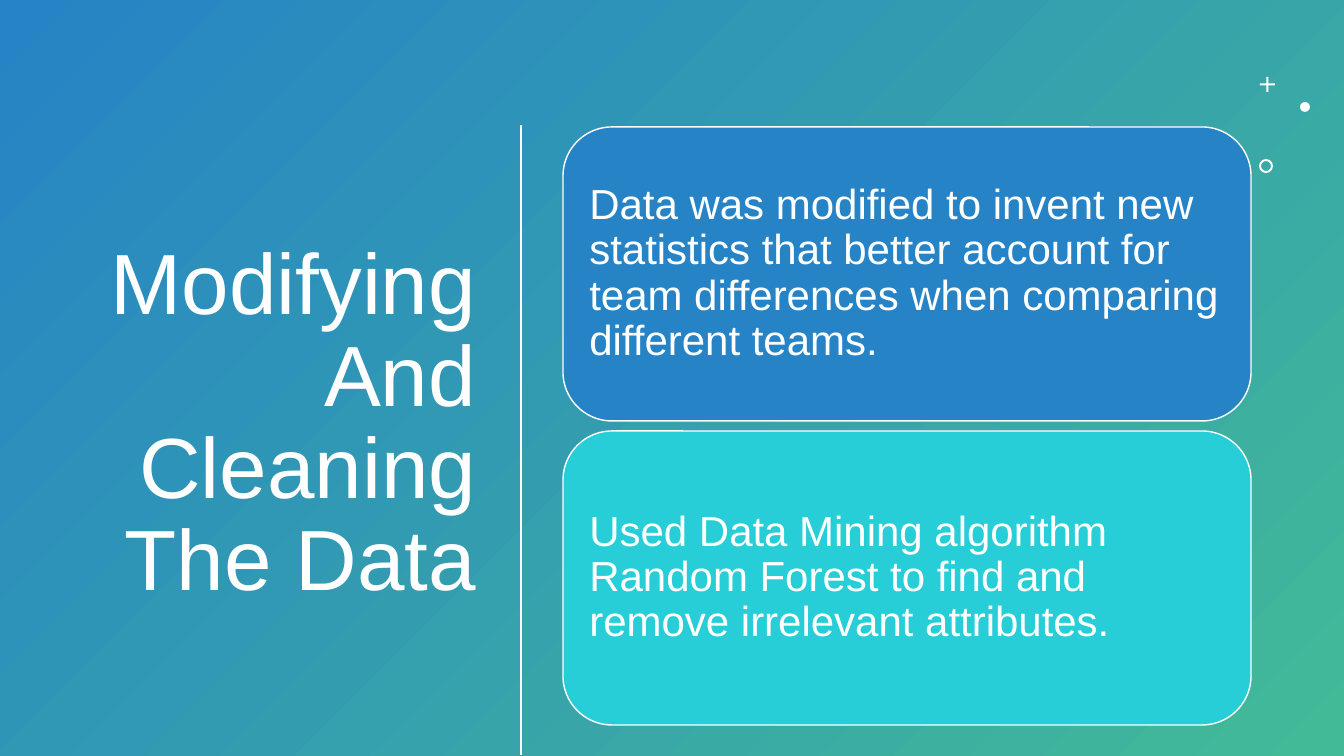
from dataclasses import dataclass

from lxml import etree
from pptx import Presentation
from pptx import util as u
from pptx.dml.color import RGBColor
from pptx.enum import shapes, text
from pptx.oxml.ns import qn

EMU_PER_PX = 914400 / 100.8
PAGE_WIDTH, PAGE_HEIGHT = 1344, 756
WHITE, BLUE, GREEN, TURQUOISE = "FFFFFF", "2683C6", "42BA97", "27CED7"
CARD_LEFT, CARD_TOP, CARD_WIDTH, CARD_HEIGHT, CARD_GAP = 563, 127, 688, 294, 10
CARD_INSET = 12
Shape = shapes.MSO_SHAPE


@dataclass
class Ornament:
    kind: Shape
    left: int
    top: int
    size: int
    adjustment: float | None = None


@dataclass
class Card:
    words: str
    fill: str


ORNAMENTS = [
    Ornament(Shape.CROSS, 1260, 77, 15, 0.43),
    Ornament(Shape.OVAL, 1300, 102, 10),
    Ornament(Shape.DONUT, 1259, 159, 14, 0.14),
]
CARDS = [
    Card("Data was modified to invent new statistics that better account for "
         "team differences when comparing different teams.", BLUE),
    Card("Used Data Mining algorithm Random Forest to find and remove "
         "irrelevant attributes.", TURQUOISE),
]


def px(length: int) -> u.Emu:
    return u.Emu(round(length * EMU_PER_PX))


def color(value: str) -> RGBColor:
    return RGBColor.from_string(value)


def add_box(page, kind: Shape, left: int, top: int, width: int, height: int,
            fill: str | None = None, line: str | None = None):
    box = page.shapes.add_shape(kind, px(left), px(top), px(width), px(height))
    box.shadow.inherit = False
    if fill:
        box.fill.solid()
        box.fill.fore_color.rgb = color(fill)
    if line:
        box.line.color.rgb = color(line)
        box.line.width = u.Pt(1)
    else:
        box.line.fill.background()
    return box


def write(box, words: str, *, size: int, align: text.PP_ALIGN,
          space_after: float = 0) -> None:
    frame = box.text_frame
    frame.word_wrap = True
    frame.auto_size = text.MSO_AUTO_SIZE.NONE
    frame.vertical_anchor = text.MSO_ANCHOR.MIDDLE
    para = frame.paragraphs[0]
    para.alignment = align
    para.line_spacing = 0.9
    para.space_after = u.Pt(space_after)
    span = para.add_run()
    span.text = words
    span.font.name = "Arial"
    span.font.size = u.Pt(size)
    span.font.color.rgb = color(WHITE)


def add_backdrop(page) -> None:
    """Draw the gradient behind everything else on the page."""
    backdrop = add_box(page, Shape.RECTANGLE, 0, 0, PAGE_WIDTH, PAGE_HEIGHT)
    backdrop.fill.gradient()
    backdrop.fill.gradient_angle = 315
    for stop, value, position in zip(backdrop.fill.gradient_stops, (BLUE, GREEN), (0, 1)):
        stop.color.rgb = color(value)
        stop.position = position
    page.shapes._spTree.insert(2, backdrop._element)


def add_title(page, words: str) -> None:
    title = page.shapes.title
    title.left, title.top, title.width, title.height = map(px, (52, 117, 434, 616))
    write(title, words, size=61, align=text.PP_ALIGN.RIGHT)


def add_divider(page) -> None:
    divider = page.shapes.add_connector(
        shapes.MSO_CONNECTOR.STRAIGHT, px(521), px(125), px(521), px(755))
    divider.line.color.rgb = color(WHITE)
    divider.line.width = u.Pt(2)
    etree.SubElement(divider._element.spPr, qn("a:effectLst"))


def add_ornament(page, ornament: Ornament) -> None:
    box = add_box(page, ornament.kind, ornament.left, ornament.top,
                  ornament.size, ornament.size, fill=WHITE)
    if ornament.adjustment is not None:
        box.adjustments[0] = ornament.adjustment


def add_card(page, card: Card, row: int) -> None:
    top = CARD_TOP + row * (CARD_HEIGHT + CARD_GAP)
    box = add_box(page, Shape.ROUNDED_RECTANGLE, CARD_LEFT, top,
                  CARD_WIDTH, CARD_HEIGHT, fill=card.fill, line=WHITE)
    frame = box.text_frame
    frame.margin_left = frame.margin_right = px(CARD_INSET)
    frame.margin_top = frame.margin_bottom = px(CARD_INSET)
    write(box, card.words, size=30, align=text.PP_ALIGN.LEFT, space_after=10.5)


def main() -> None:
    deck = Presentation()
    deck.slide_width, deck.slide_height = px(PAGE_WIDTH), px(PAGE_HEIGHT)
    page = deck.slides.add_slide(deck.slide_layouts.get_by_name("Title Only"))
    add_backdrop(page)
    add_title(page, "Modifying And Cleaning The Data")
    add_divider(page)
    for ornament in ORNAMENTS:
        add_ornament(page, ornament)
    for row, card in enumerate(CARDS):
        add_card(page, card, row)
    deck.save("out.pptx")


if __name__ == "__main__":
    main()
